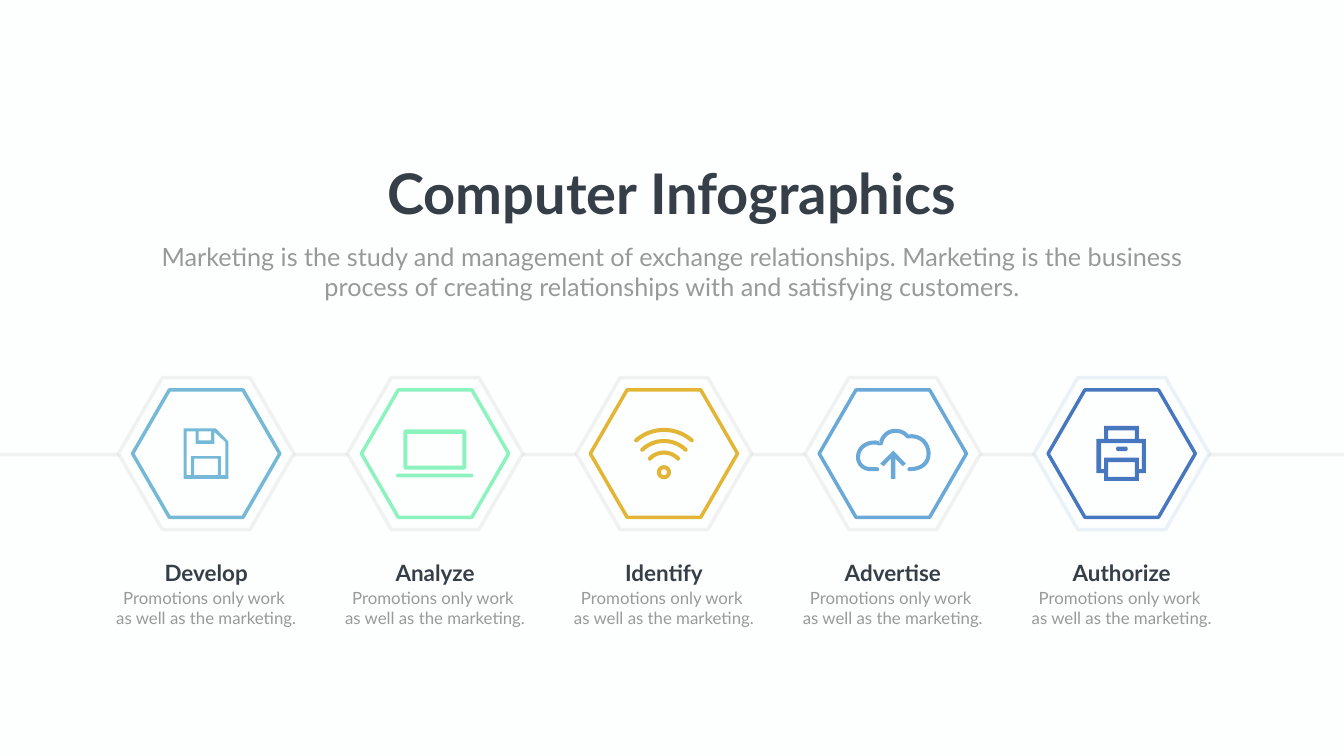
import math

import pptx
import pptx.dml.color
import pptx.enum.shapes
import pptx.enum.text
import pptx.oxml.ns
import pptx.util
from lxml import etree

RGB = pptx.dml.color.RGBColor
PAPER = RGB(0xFD, 0xFF, 0xFE)
DARK = RGB(0x36, 0x3E, 0x48)
GREY = RGB(0x99, 0x99, 0x99)
RAIL = RGB(0x80, 0x80, 0x80)
TEAL = RGB(0x75, 0xB9, 0xD6)
MINT = RGB(0x8C, 0xF2, 0xBE)
GOLD = RGB(0xE3, 0xB5, 0x35)
SKY = RGB(0x69, 0xA8, 0xD7)
BLUE = RGB(0x47, 0x77, 0xBF)

WIDTH, HEIGHT = 26.66, 15
FIRST, PITCH, ROW = 4.09, 4.54, 9
FONT = "Lato"


def inch(value):
    """Convert inches to whole EMU."""
    return pptx.util.Inches(value)


def arc(cx, cy, radius, start, end, steps=16):
    """Return points on an arc, angles in degrees clockwise from the right."""
    angles = [math.radians(start + (end - start) * i / steps) for i in range(steps + 1)]
    return [(cx + radius * math.cos(a), cy + radius * math.sin(a)) for a in angles]


def box(left, top, right, bottom, radius=0):
    """Return the outline of a box with optional rounded corners."""
    if not radius:
        return [(left, top), (right, top), (right, bottom), (left, bottom)]
    corners = [(right, bottom), (left, bottom), (left, top), (right, top)]
    points = []
    for i, (x, y) in enumerate(corners):
        cx = x - radius if x == right else x + radius
        cy = y - radius if y == bottom else y + radius
        points += arc(cx, cy, radius, 90 * i, 90 * i + 90, 4)
    return points


def curve(start, *segments, steps=8):
    """Return points along joined cubic curves."""
    points = [start]
    for segment in segments:
        controls = (points[-1], *segment)
        for i in range(1, steps + 1):
            t = i / steps
            weights = ((1 - t) ** 3, 3 * t * (1 - t) ** 2, 3 * t * t * (1 - t), t ** 3)
            points.append(tuple(sum(w * c[k] for w, c in zip(weights, controls))
                                for k in (0, 1)))
    return points


def stroke(points, half=0.04):
    """Return the outline of a round-ended band along a smooth line."""
    one, two, caps = [], [], []
    for i, (x, y) in enumerate(points):
        x0, y0 = points[max(i - 1, 0)]
        x1, y1 = points[min(i + 1, len(points) - 1)]
        angle = math.atan2(y1 - y0, x1 - x0)
        dx, dy = -half * math.sin(angle), half * math.cos(angle)
        one.append((x - dx, y - dy))
        two.append((x + dx, y + dy))
        caps.append(math.degrees(angle))
    end = arc(*points[-1], half, caps[-1] - 90, caps[-1] + 90, 6)
    start = arc(*points[0], half, caps[0] + 90, caps[0] + 270, 6)
    return one + end + two[::-1] + start


def hexagon(radius):
    """Return the corners of a regular hexagon."""
    return arc(0, 0, radius, 0, 300, 5)


def floppy():
    """Return the floppy disk icon as shapes made of contours."""
    body = [(-0.45, -0.5), (0.19, -0.5), (0.44, -0.24), (0.44, 0.5), (-0.45, 0.5)]
    inside = [(-0.39, -0.44), (-0.21, -0.44), (-0.21, -0.19), (0.16, -0.19),
              (0.16, -0.43), (0.38, -0.23), (0.38, 0.43), (0.29, 0.43),
              (0.29, 0.05), (-0.3, 0.05), (-0.3, 0.43), (-0.39, 0.43)]
    return [[body, inside, box(-0.15, -0.44, 0.1, -0.26), box(-0.24, 0.1, 0.23, 0.43)]]


def laptop():
    """Return the laptop icon."""
    screen = [box(-0.63, -0.48, 0.62, 0.32, 0.06), box(-0.55, -0.39, 0.54, 0.24)]
    return [screen, [box(-0.77, 0.4, 0.76, 0.47, 0.03)]]


def wifi():
    """Return the wireless icon: bands concentric with a ring."""
    cy = 0.37
    bands = [[stroke(arc(0, cy, radius, -90 - spread, -90 + spread))]
             for radius, spread in ((0.84, 41), (0.62, 44), (0.39, 46))]
    return bands + [[arc(0, cy, radius, 0, 360, 24) for radius in (0.14, 0.06)]]


def cloud():
    """Return the cloud upload icon."""
    outline = curve((-0.42, 0.31),
                    ((-0.6, 0.31), (-0.69, 0.2), (-0.69, 0.07)),
                    ((-0.69, -0.1), (-0.55, -0.22), (-0.36, -0.22)),
                    ((-0.32, -0.22), (-0.28, -0.21), (-0.24, -0.19)),
                    ((-0.21, -0.35), (-0.1, -0.45), (0.05, -0.45)),
                    ((0.15, -0.45), (0.23, -0.42), (0.29, -0.34)),
                    ((0.56, -0.38), (0.71, -0.19), (0.71, 0)),
                    ((0.71, 0.18), (0.58, 0.31), (0.33, 0.31)))
    arrow = [(0.01, -0.06), (0.26, 0.2), (0.2, 0.25), (0.05, 0.1), (0.05, 0.5),
             (-0.04, 0.5), (-0.04, 0.1), (-0.18, 0.25), (-0.25, 0.2)]
    return [[stroke([(-0.31, 0.31)] + outline)], [arrow]]


def printer():
    """Return the printer icon."""
    body = [(-0.35, -0.55), (0.34, -0.55), (0.34, -0.29), (0.48, -0.29),
            (0.48, 0.39), (0.34, 0.39), (0.34, 0.54), (-0.35, 0.54),
            (-0.35, 0.39), (-0.5, 0.39), (-0.5, -0.29), (-0.35, -0.29)]
    inside = [(-0.41, -0.21), (0.4, -0.21), (0.4, 0.31), (0.34, 0.31),
              (0.34, 0.08), (-0.35, 0.08), (-0.35, 0.31), (-0.41, 0.31)]
    holes = [box(-0.27, -0.46, 0.26, -0.29), box(-0.27, 0.17, 0.26, 0.46)]
    return [[body, inside, *holes], [box(-0.11, -0.14, 0.12, -0.05, 0.04)]]


def set_line(line, color, alpha=None):
    """Give a line its colour, width and optional opacity in percent."""
    line.color.rgb = color
    line.width = pptx.util.Pt(5)
    if alpha:
        clr = line.fill._xPr.find(".//" + pptx.oxml.ns.qn("a:srgbClr"))
        etree.SubElement(clr, pptx.oxml.ns.qn("a:alpha"), val=str(alpha * 1000))


def add_rail(s):
    """Draw the faint line behind the hexagons."""
    y = inch(ROW + 0.02)
    rail = s.shapes.add_connector(pptx.enum.shapes.MSO_CONNECTOR.STRAIGHT,
                                  inch(-0.71), y, inch(WIDTH + 0.71), y)
    set_line(rail.line, RAIL, 10)
    etree.SubElement(rail._element.spPr, pptx.oxml.ns.qn("a:effectLst"))


def add_outline(s, cx, contours, fill, line=None, alpha=None):
    """Draw closed contours around a point on the hexagon row."""
    placed = [[(inch(cx + x), inch(ROW + y)) for x, y in c] for c in contours]
    builder = s.shapes.build_freeform(*placed[0][0])
    builder.add_line_segments(placed[0][1:], close=True)
    for contour in placed[1:]:
        builder.move_to(*contour[0])
        builder.add_line_segments(contour[1:], close=True)
    sp = builder.convert_to_shape()
    sp.shadow.inherit = False
    sp.fill.solid()
    sp.fill.fore_color.rgb = fill
    if line is None:
        sp.line.fill.background()
    else:
        set_line(sp.line, line, alpha)


def set_text(sp, cx, top, width, height, lines, size, color, bold=False, wrap=True):
    """Place a text shape centred on cx and fill it."""
    sp.left, sp.top = inch(cx - width / 2), inch(top)
    sp.width, sp.height = inch(width), inch(height)
    tf = sp.text_frame
    tf.word_wrap = wrap
    tf.auto_size = pptx.enum.text.MSO_AUTO_SIZE.NONE
    tf.vertical_anchor = pptx.enum.text.MSO_ANCHOR.TOP
    for i, text in enumerate(lines):
        p = tf.add_paragraph() if i else tf.paragraphs[0]
        p.alignment = pptx.enum.text.PP_ALIGN.CENTER
        p.space_before = pptx.util.Pt(0)
        r = p.add_run()
        r.text = text
        r.font.name, r.font.size, r.font.bold = FONT, pptx.util.Pt(size), bold
        r.font.color.rgb = color


def add_label(s, *args, **kwargs):
    """Add a text box and set its text."""
    set_text(s.shapes.add_textbox(0, 0, 0, 0), *args, **kwargs)


def main():
    """Build the slide."""
    prs = pptx.Presentation()
    prs.slide_width, prs.slide_height = inch(WIDTH), inch(HEIGHT)
    s = prs.slides.add_slide(prs.slide_layouts[0])
    s.background.fill.solid()
    s.background.fill.fore_color.rgb = PAPER
    set_text(s.shapes.title, WIDTH / 2, 3.09, 11.76, 1.45,
             ["Computer Infographics"], 80, DARK, bold=True, wrap=False)
    set_text(s.placeholders[1], WIDTH / 2, 4.74, 21.3, 1.31,
             ["Marketing is the study and management of exchange relationships. "
              "Marketing is the business process of creating relationships with "
              "and satisfying customers."], 36, GREY)
    add_rail(s)
    steps = [("Develop", TEAL, RAIL, floppy), ("Analyze", MINT, RAIL, laptop),
             ("Identify", GOLD, RAIL, wifi), ("Advertise", SKY, RAIL, cloud),
             ("Authorize", BLUE, BLUE, printer)]
    for i, (name, color, halo, icon) in enumerate(steps):
        cx = FIRST + i * PITCH
        add_outline(s, cx, [hexagon(1.74)], PAPER, halo, 10)
        add_outline(s, cx, [hexagon(1.46)], PAPER, color)
        for contours in icon():
            add_outline(s, cx, contours, color)
        add_label(s, cx, 11.05, 2.51, 0.64, [name], 32, DARK, bold=True)
        add_label(s, cx, 11.61, 3.87, 0.91,
                  ["Promotions only work ", "as well as the marketing."], 24, GREY)
    prs.save("out.pptx")


if __name__ == "__main__":
    main()
